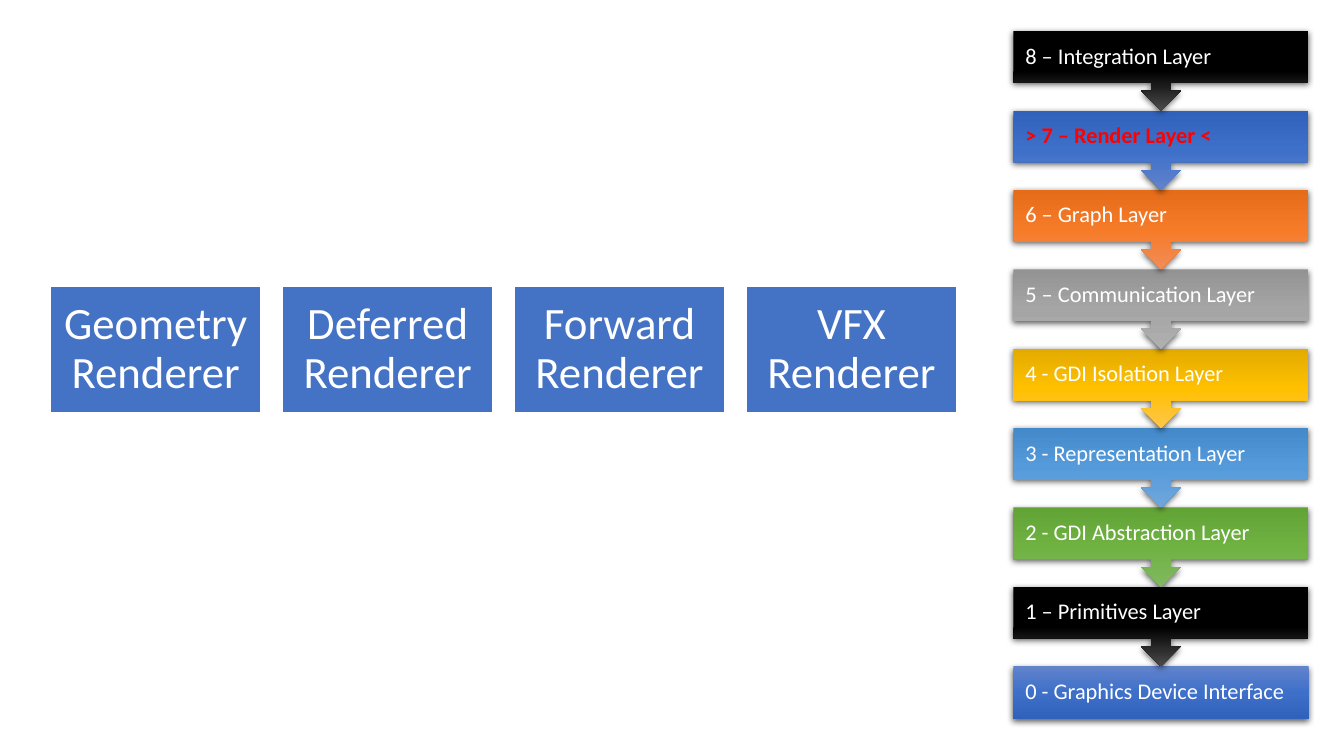
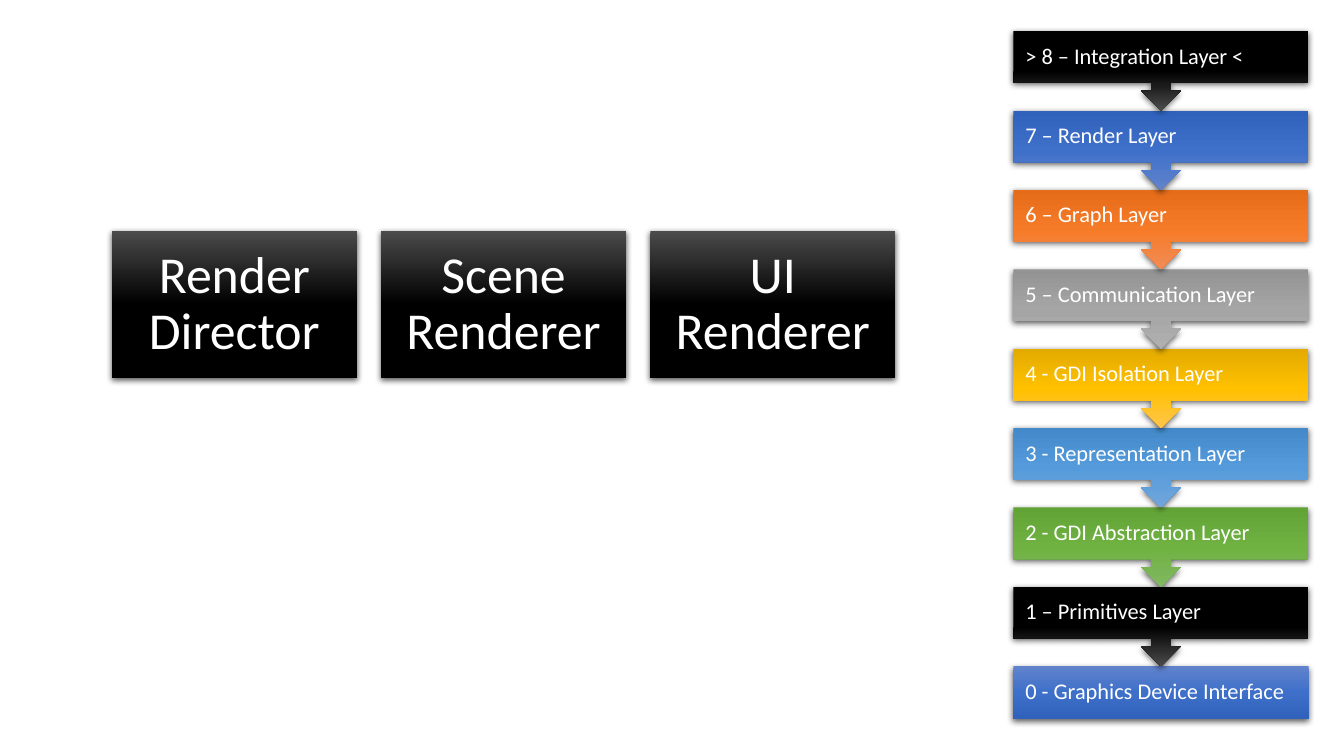
from copy import deepcopy

from pptx import Presentation, util as u
from pptx.dml.color import RGBColor
from pptx.enum import shapes, text
from pptx.oxml import parse_xml
from pptx.oxml.ns import nsdecls, qn

FONT = "Calibri"
WHITE, RED, BLUE = "FFFFFF", "FF0000", "4472C4"
BLACK_GRAD = ("4B4B4B", "000000", "000000")
BLUE_GRAD = ("6183CB", "3E70CA", "3062BB")
LAYERS = [
    ("8 – Integration Layer", BLACK_GRAD),
    ("7 – Render Layer", BLUE_GRAD),
    ("6 – Graph Layer", ("F18C57", "F67B28", "E56C19")),
    ("5 – Communication Layer", ("AFAFAF", "A5A5A5", "939393")),
    ("4 - GDI Isolation Layer", ("FFC64B", "FFC000", "E3AB00")),
    ("3 - Representation Layer", ("71A6DB", "559BDB", "448ACA")),
    ("2 - GDI Abstraction Layer", ("81B861", "6FB242", "62A336")),
    ("1 – Primitives Layer", BLACK_GRAD),
    ("0 - Graphics Device Interface", BLUE_GRAD),
]
STACK_BOX = (10.05, 0.31, 2.93, 6.82)
BAR_HEIGHT = 0.52


def rgb(value):
    """Turn a hex string into a colour."""
    return RGBColor.from_string(value)


def add_block(s, kind, box, label, size, inset, align, color=WHITE, bold=False):
    """Add a shape with its label, without line or shadow."""
    sp = s.shapes.add_shape(kind, *map(u.Inches, box))
    sp.shadow.inherit = False
    sp.line.fill.background()
    tf = sp.text_frame
    tf.word_wrap = True
    tf.vertical_anchor = text.MSO_ANCHOR.MIDDLE
    tf.margin_left = tf.margin_right = u.Inches(inset)
    tf.margin_top = tf.margin_bottom = u.Inches(inset)
    p = tf.paragraphs[0]
    p.text = label
    p.alignment = align
    p.line_spacing = 0.9
    p.font.name = FONT
    p.font.size = u.Pt(size)
    p.font.bold = bold
    p.font.color.rgb = rgb(color)
    return sp


def fill_flat(sp):
    """Give a shape the plain blue fill and white outline."""
    sp.fill.solid()
    sp.fill.fore_color.rgb = rgb(BLUE)
    sp.line.color.rgb = rgb(WHITE)
    sp.line.width = u.Pt(1)


def fill_raised(sp, colors):
    """Give a shape a top-down three-colour gradient and a soft shadow."""
    sp.fill.gradient()
    sp.fill.gradient_angle = 270
    stops = sp._element.spPr.find(".//" + qn("a:gsLst"))
    stops.insert(1, deepcopy(stops[0]))
    for stop, position, color in zip(sp.fill.gradient_stops, (0, 0.5, 1), colors):
        stop.position = position
        stop.color.rgb = rgb(color)
    for tag in ("a:tint", "a:shade", "a:satMod", "a:lumMod"):
        for node in stops.findall(".//" + qn(tag)):
            node.getparent().remove(node)
    sp._element.spPr.find(qn("a:effectLst")).append(parse_xml(
        f'<a:outerShdw {nsdecls("a")} blurRad="{u.Pt(4.5)}" dist="{u.Pt(1.5)}" '
        'dir="5400000" algn="ctr" rotWithShape="0"><a:srgbClr val="000000">'
        '<a:alpha val="63000"/></a:srgbClr></a:outerShdw>'))


def add_layer_stack(s, box, current, color=WHITE, bold=False):
    """Stack the layers from the bottom up and mark the current one."""
    left, top, width, height = box
    last = len(LAYERS) - 1
    pitch = (height - BAR_HEIGHT) / last
    for i, (label, colors) in reversed(list(enumerate(LAYERS))):
        is_base = i == last
        kind = shapes.MSO_SHAPE.RECTANGLE if is_base else shapes.MSO_SHAPE.DOWN_ARROW_CALLOUT
        bar = (left, top + i * pitch, width, BAR_HEIGHT if is_base else pitch)
        style = {}
        if i == current:
            label, style = f"> {label} <", {"color": color, "bold": bold}
        sp = add_block(s, kind, bar, label, 16, 0.12, text.PP_ALIGN.LEFT, **style)
        fill_raised(sp, colors if is_base else colors[::-1])


def add_block_row(s, box, labels, gap, size, inset, paint):
    """Spread equal blocks across a box and paint each one."""
    left, top, width, height = box
    block_width = (width - gap * (len(labels) - 1)) / len(labels)
    for i, label in enumerate(labels):
        block = (left + i * (block_width + gap), top, block_width, height)
        paint(add_block(s, shapes.MSO_SHAPE.RECTANGLE, block, label, size, inset,
                        text.PP_ALIGN.CENTER))


def render_slide(s):
    """Build the render layer slide."""
    add_layer_stack(s, STACK_BOX, 1, RED, True)
    add_block_row(s, (0.5, 2.84, 8.99, 1.25),
                  ["Geometry Renderer", "Deferred Renderer", "Forward Renderer", "VFX Renderer"],
                  0.21, 32, 0.13, fill_flat)


def integration_slide(s):
    """Build the integration layer slide."""
    add_layer_stack(s, STACK_BOX, 0)
    add_block_row(s, (1.11, 2.29, 7.77, 1.46),
                  ["Render Director", "Scene Renderer", "UI Renderer"],
                  0.24, 37, 0.15, lambda sp: fill_raised(sp, BLACK_GRAD))


def main():
    """Build and save the presentation."""
    prs = Presentation()
    prs.slide_width, prs.slide_height = u.Inches(13.33), u.Inches(7.5)
    for build in (render_slide, integration_slide):
        build(prs.slides.add_slide(prs.slide_layouts[6]))
    prs.save("out.pptx")


if __name__ == "__main__":
    main()
